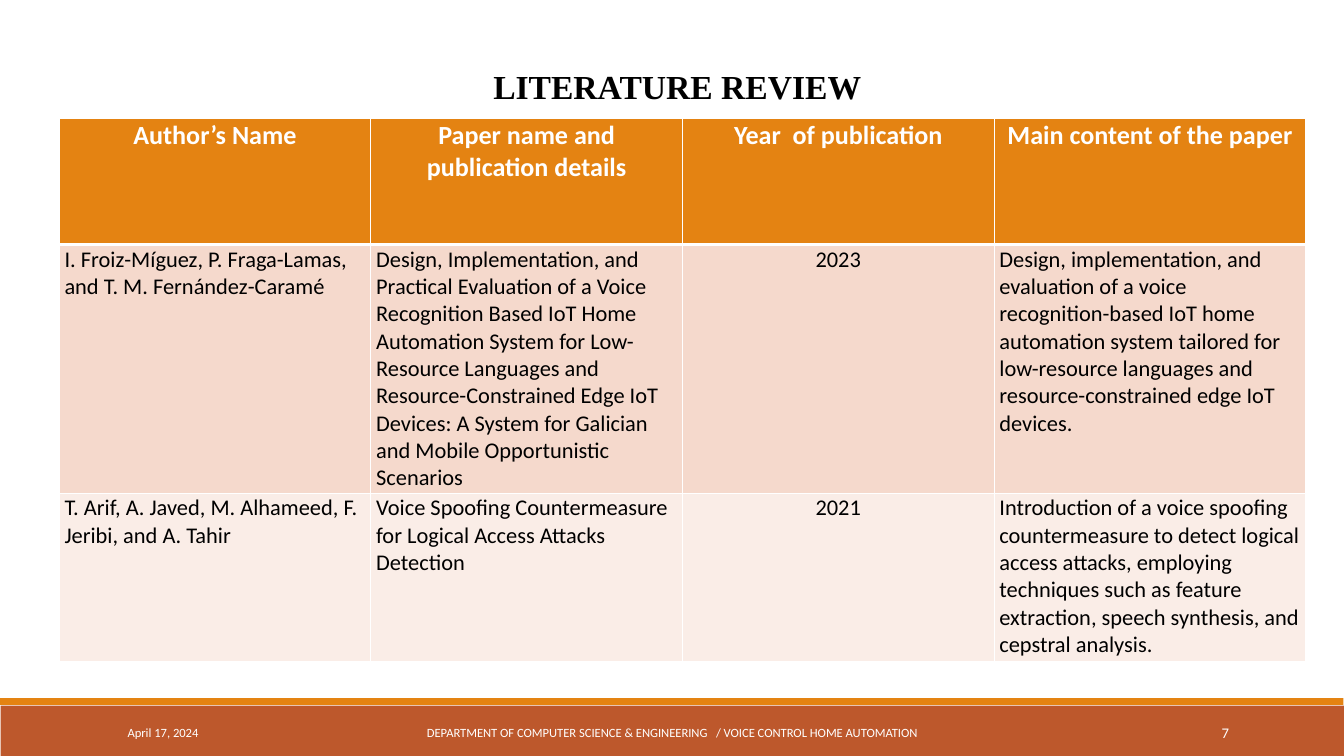
from lxml.etree import SubElement
from pptx import Presentation
from pptx.dml.color import RGBColor
from pptx.enum.shapes import MSO_SHAPE as Shape
from pptx.enum.text import MSO_ANCHOR as Anchor, PP_ALIGN as Align
from pptx.oxml.ns import qn
from pptx.util import Inches, Pt

COLORS = {
    "orange": "E48312",
    "rust": "BD582C",
    "peach": "F5D9CC",
    "blush": "FAEDE7",
    "white": "FFFFFF",
    "black": "000000",
}
HEADERS = ["Author’s Name", "Paper name and publication details",
           "Year  of publication", "Main content of the paper"]
PAPERS = [
    ["I. Froiz-Míguez, P. Fraga-Lamas, and T. M. Fernández-Caramé",
     "Design, Implementation, and Practical Evaluation of a Voice Recognition Based IoT Home "
     "Automation System for Low-Resource Languages and Resource-Constrained Edge IoT Devices: "
     "A System for Galician and Mobile Opportunistic Scenarios",
     "2023",
     "Design, implementation, and evaluation of a voice recognition-based IoT home automation "
     "system tailored for low-resource languages and resource-constrained edge IoT devices."],
    ["T. Arif, A. Javed, M. Alhameed, F. Jeribi, and A. Tahir",
     "Voice Spoofing Countermeasure for Logical Access Attacks Detection",
     "2021",
     "Introduction of a voice spoofing countermeasure to detect logical access attacks, employing "
     "techniques such as feature extraction, speech synthesis, and cepstral analysis."],
]
ROW_HEIGHTS = [1.88, 3.7, 2.5]
YEAR_COLUMN = 2


def rgb(name):
    return RGBColor.from_string(COLORS[name])


def format_text(paragraph, size, color, bold=False, font="Calibri", align=Align.LEFT):
    paragraph.alignment = align
    for run in paragraph.runs:
        run.font.name = font
        run.font.size = Pt(size)
        run.font.bold = bold
        run.font.color.rgb = rgb(color)


def add_band(slide, left, top, width, height, color):
    shape = slide.shapes.add_shape(
        Shape.RECTANGLE, Inches(left), Inches(top), Inches(width), Inches(height))
    shape.shadow.inherit = False
    shape.fill.solid()
    shape.fill.fore_color.rgb = rgb(color)
    shape.line.fill.background()


def add_text(slide, left, top, width, height, text, anchor=Anchor.MIDDLE, **style):
    box = slide.shapes.add_textbox(Inches(left), Inches(top), Inches(width), Inches(height))
    text_frame = box.text_frame
    text_frame.word_wrap = True
    text_frame.vertical_anchor = anchor
    text_frame.text = text
    paragraph = text_frame.paragraphs[0]
    format_text(paragraph, **style)
    return paragraph


def add_title(slide, text):
    paragraph = add_text(slide, 0.61, 0.63, 18.44, 0.9, text, anchor=Anchor.TOP, size=36,
                         color="black", bold=True, font="Times New Roman", align=Align.CENTER)
    paragraph.level = 1
    paragraph.line_spacing = 1.5
    properties = paragraph._p.get_or_add_pPr()
    properties.set("marL", str(Inches(0.5)))
    properties.set("indent", "0")


def set_borders(cell, top, bottom):
    properties = cell._tc.get_or_add_tcPr()
    for index, (side, width) in enumerate(
            [("lnL", 1), ("lnR", 1), ("lnT", top), ("lnB", bottom)]):
        line = properties.makeelement(qn(f"a:{side}"), {"w": str(Pt(width))})
        fill = SubElement(line, qn("a:solidFill"))
        SubElement(fill, qn("a:srgbClr"), val=COLORS["white"])
        properties.insert(index, line)


def fill_cell(cell, text, fill, **style):
    cell.text = text
    cell.margin_left = cell.margin_right = Inches(0.08)
    cell.margin_top = cell.margin_bottom = Inches(0.02)
    cell.fill.solid()
    cell.fill.fore_color.rgb = rgb(fill)
    format_text(cell.text_frame.paragraphs[0], **style)


def add_review_table(slide):
    rows = [HEADERS] + PAPERS
    table = slide.shapes.add_table(
        len(rows), len(HEADERS), Inches(0.88), Inches(1.76),
        Inches(18.55), Inches(sum(ROW_HEIGHTS))).table
    for row, height in zip(table.rows, ROW_HEIGHTS):
        row.height = Inches(height)
    fills = ["orange", "peach", "blush"]
    for row_index, texts in enumerate(rows):
        header = row_index == 0
        for column_index, text in enumerate(texts):
            cell = table.cell(row_index, column_index)
            centered = header or column_index == YEAR_COLUMN
            fill_cell(cell, text, fills[row_index],
                      size=28 if header else 24,
                      color="white" if header else "black",
                      bold=header,
                      align=Align.CENTER if centered else Align.LEFT)
            set_borders(cell, top=3 if row_index == 1 else 1, bottom=3 if header else 1)


def add_footer(slide):
    add_band(slide, 0.01, 10.5, 19.99, 0.75, "rust")
    add_band(slide, 0, 10.39, 19.99, 0.1, "orange")
    for left, width, text, size, align in [
        (1.8, 4.06, "April 17, 2024", 13.5, Align.LEFT),
        (6.05, 7.91, "DEPARTMENT OF COMPUTER SCIENCE & ENGINEERING   / VOICE CONTROL HOME AUTOMATION",
         13.5, Align.CENTER),
        (16.24, 2.15, "7", 15.8, Align.RIGHT),
    ]:
        add_text(slide, left, 10.6, width, 0.6, text, size=size, color="white", align=align)


def main():
    presentation = Presentation()
    presentation.slide_width = Inches(20)
    presentation.slide_height = Inches(11.25)
    slide = presentation.slides.add_slide(presentation.slide_layouts[6])
    add_footer(slide)
    add_title(slide, "LITERATURE REVIEW")
    add_review_table(slide)
    presentation.save("out.pptx")


if __name__ == "__main__":
    main()
